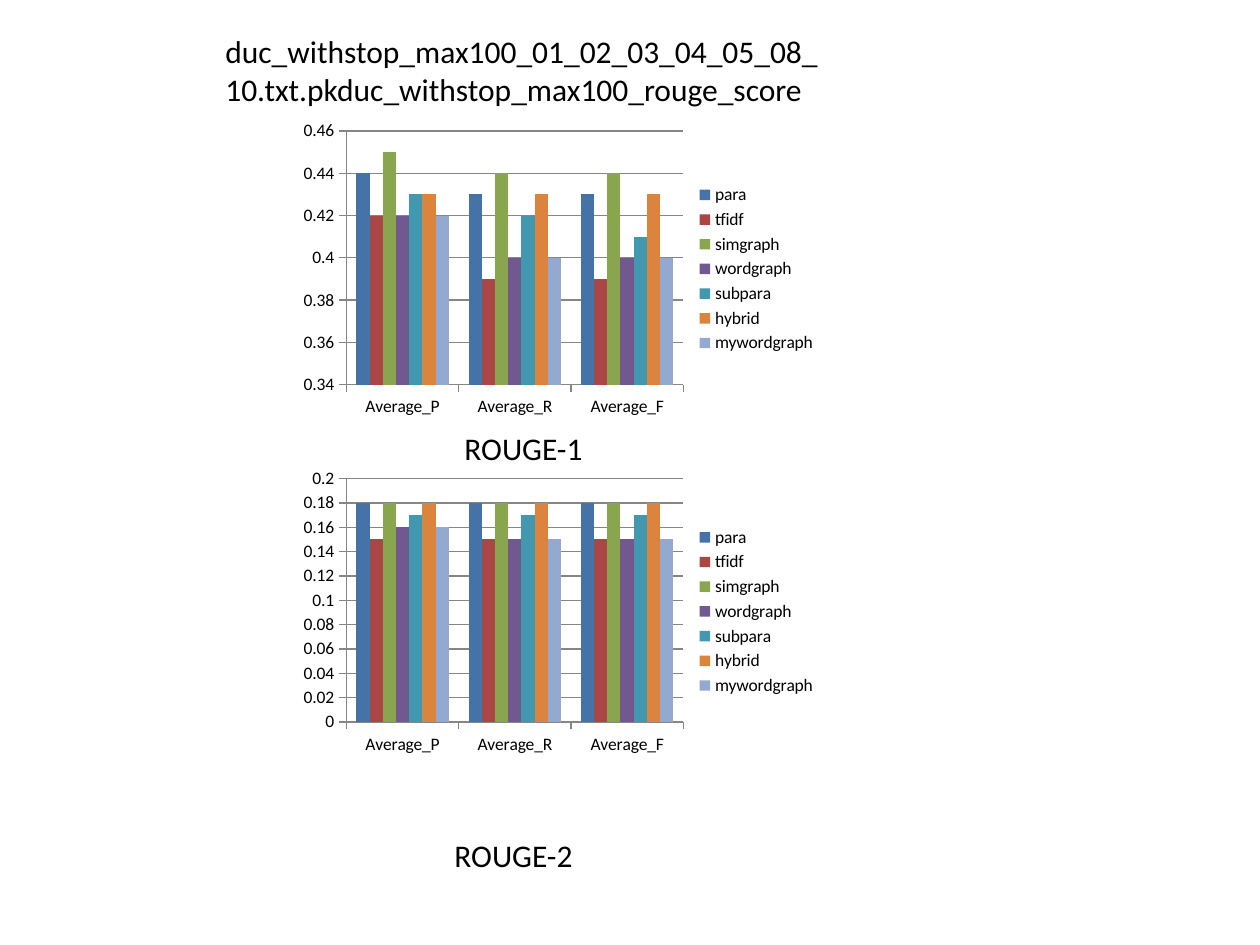
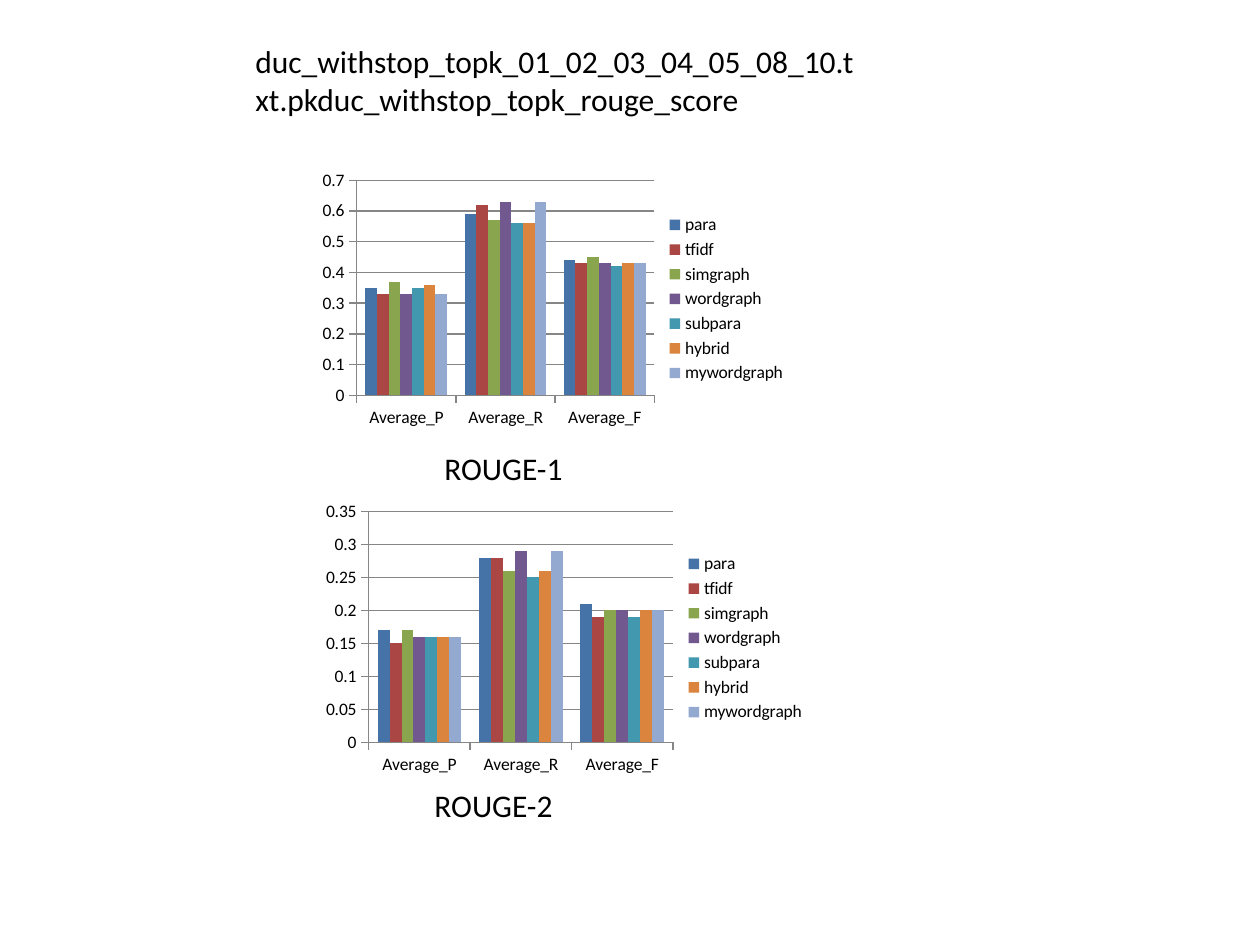
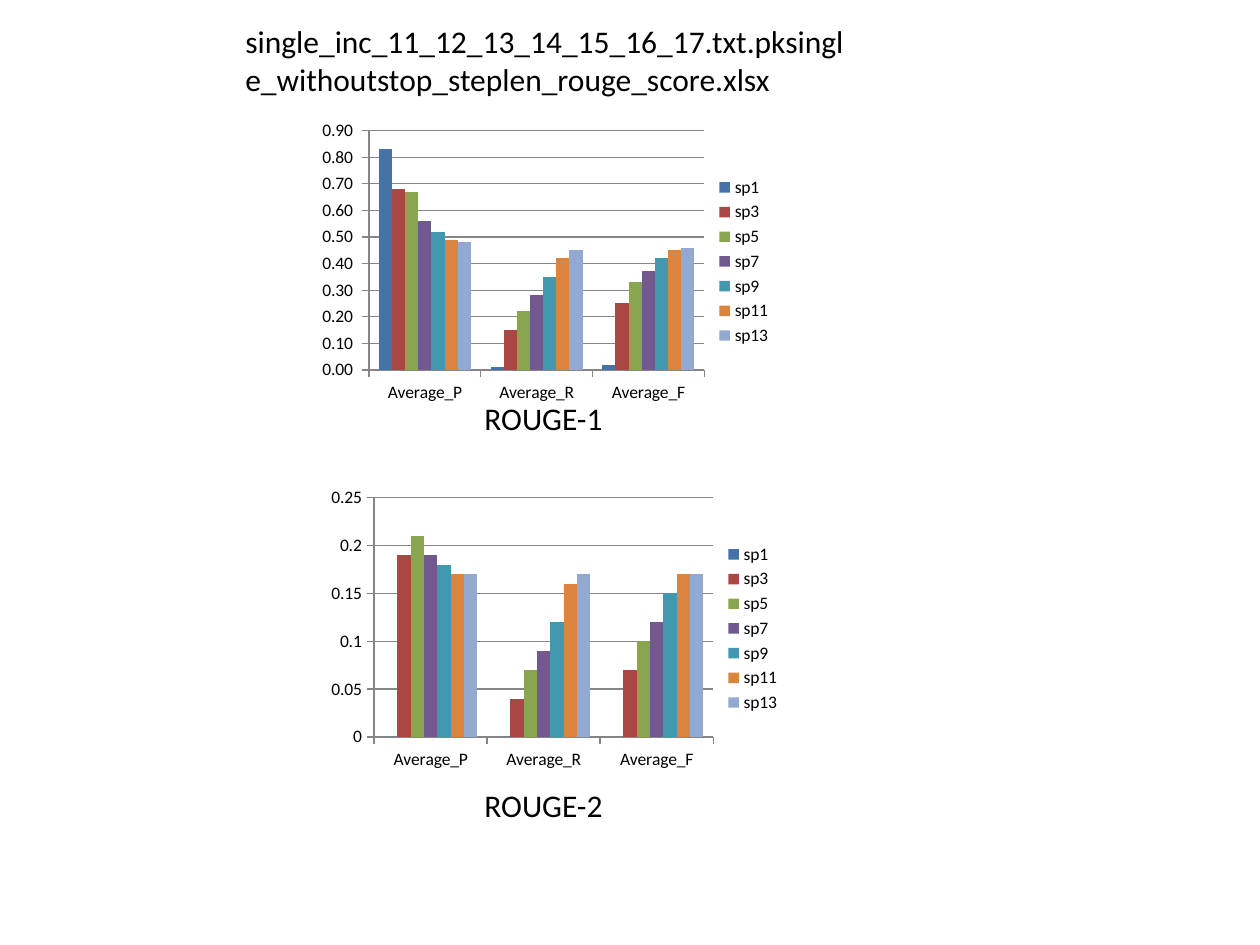
from pptx import Presentation
from pptx.chart.data import CategoryChartData
from pptx.dml.color import RGBColor
from pptx.enum.chart import XL_CHART_TYPE, XL_LEGEND_POSITION, XL_TICK_MARK
from pptx.enum.text import MSO_AUTO_SIZE
from pptx.util import Emu, Pt

EMU_PER_PX = 914400 // 126
BLANK_LAYOUT = 6
CLUSTERED = XL_CHART_TYPE.COLUMN_CLUSTERED
LEGEND_RIGHT = XL_LEGEND_POSITION.RIGHT
TICK_OUTSIDE = XL_TICK_MARK.OUTSIDE
GROW_SHAPE = MSO_AUTO_SIZE.SHAPE_TO_FIT_TEXT

FONT = "Calibri"
BLACK = "000000"
GRID_GREY = "868686"
SERIES_COLORS = ["4572A7", "AA4643", "89A54E", "71588F", "4198AF", "DB843D", "93A9CF"]

TITLE_SIZE = (630, 90)
CAPTION_SIZE = (145, 50)
CAPTIONS = ["ROUGE-1", "ROUGE-2"]
MEASURES = ["Average_P", "Average_R", "Average_F"]
METHODS = ["para", "tfidf", "simgraph", "wordgraph", "subpara", "hybrid", "mywordgraph"]
STEP_LENGTHS = [f"sp{length}" for length in range(1, 14, 2)]

# An axis is (minimum, maximum, step); each row of values belongs to one series.
SLIDES = [
    {
        "title": "duc_withstop_max100_01_02_03_04_05_08_10.txt.pkduc_withstop_max100_rouge_score",
        "title_at": (213, 26),
        "names": METHODS,
        "charts": [
            {
                "box": (293, 115, 536, 308), "caption_at": (452, 423),
                "axis": (0.34, 0.46, 0.02), "format": "General",
                "values": [(0.44, 0.43, 0.43), (0.42, 0.39, 0.39), (0.45, 0.44, 0.44),
                           (0.42, 0.4, 0.4), (0.43, 0.42, 0.41), (0.43, 0.43, 0.43),
                           (0.42, 0.4, 0.4)],
            },
            {
                "box": (293, 463, 536, 297), "caption_at": (442, 830),
                "axis": (0, 0.2, 0.02), "format": "General",
                "values": [(0.18, 0.18, 0.18), (0.15, 0.15, 0.15), (0.18, 0.18, 0.18),
                           (0.16, 0.15, 0.15), (0.17, 0.17, 0.17), (0.18, 0.18, 0.18),
                           (0.16, 0.15, 0.15)],
            },
        ],
    },
    {
        "title": "duc_withstop_topk_01_02_03_04_05_08_10.txt.pkduc_withstop_topk_rouge_score",
        "title_at": (243, 36),
        "names": METHODS,
        "charts": [
            {
                "box": (313, 165, 486, 268), "caption_at": (432, 443),
                "axis": (0, 0.7, 0.1), "format": "General",
                "values": [(0.35, 0.59, 0.44), (0.33, 0.62, 0.43), (0.37, 0.57, 0.45),
                           (0.33, 0.63, 0.43), (0.35, 0.56, 0.42), (0.36, 0.56, 0.43),
                           (0.33, 0.63, 0.43)],
            },
            {
                "box": (316, 496, 502, 284), "caption_at": (422, 780),
                "axis": (0, 0.35, 0.05), "format": "General",
                "values": [(0.17, 0.28, 0.21), (0.15, 0.28, 0.19), (0.17, 0.26, 0.2),
                           (0.16, 0.29, 0.2), (0.16, 0.25, 0.19), (0.16, 0.26, 0.2),
                           (0.16, 0.29, 0.2)],
            },
        ],
    },
    {
        "title": "single_inc_11_12_13_14_15_16_17.txt.pksingle_withoutstop_steplen_rouge_score.xlsx",
        "title_at": (233, 16),
        "names": STEP_LENGTHS,
        "charts": [
            {
                "box": (313, 115, 471, 293), "caption_at": (472, 393),
                "axis": (0, 0.9, 0.1), "format": "0.00_ ",
                "values": [(0.83, 0.01, 0.02), (0.68, 0.15, 0.25), (0.67, 0.22, 0.33),
                           (0.56, 0.28, 0.37), (0.52, 0.35, 0.42), (0.49, 0.42, 0.45),
                           (0.48, 0.45, 0.46)],
            },
            {
                "box": (322, 482, 471, 293), "caption_at": (472, 780),
                "axis": (0, 0.25, 0.05), "format": "General",
                "values": [(0, 0, 0), (0.19, 0.04, 0.07), (0.21, 0.07, 0.1),
                           (0.19, 0.09, 0.12), (0.18, 0.12, 0.15), (0.17, 0.16, 0.17),
                           (0.17, 0.17, 0.17)],
            },
        ],
    },
]


def px(*lengths):
    return [Emu(length * EMU_PER_PX) for length in lengths]


def color(hex_string):
    return RGBColor.from_string(hex_string)


def set_attributes(target, values):
    for name, value in values.items():
        setattr(target, name, value)


def style_font(font, size):
    set_attributes(font, {"name": FONT, "size": Pt(size)})
    font.color.rgb = color(BLACK)


def style_line(line):
    line.color.rgb = color(GRID_GREY)
    line.width = Pt(0.75)


def add_text(slide, text, position, size, wrap):
    frame = slide.shapes.add_textbox(*px(*position, *size)).text_frame
    set_attributes(frame, {"word_wrap": wrap, "auto_size": GROW_SHAPE})
    run = frame.paragraphs[0].add_run()
    run.text = text
    style_font(run.font, 18)


def add_score_chart(slide, names, settings):
    data = CategoryChartData(number_format=settings["format"])
    data.categories = MEASURES
    for name, scores in zip(names, settings["values"]):
        data.add_series(name, scores)

    chart = slide.shapes.add_chart(CLUSTERED, *px(*settings["box"]), data).chart
    set_attributes(chart, {"has_title": False, "has_legend": True})
    set_attributes(chart.legend, {"position": LEGEND_RIGHT, "include_in_layout": False})
    style_font(chart.font, 10)

    plot = chart.plots[0]
    set_attributes(plot, {"gap_width": 150, "overlap": 0, "vary_by_categories": False})
    for series, fill_color in zip(plot.series, SERIES_COLORS):
        series.format.fill.solid()
        series.format.fill.fore_color.rgb = color(fill_color)

    for axis in (chart.category_axis, chart.value_axis):
        axis.major_tick_mark = TICK_OUTSIDE
        style_line(axis.format.line)

    minimum, maximum, step = settings["axis"]
    set_attributes(chart.value_axis, {
        "minimum_scale": minimum, "maximum_scale": maximum,
        "major_unit": step, "has_major_gridlines": True,
    })
    set_attributes(chart.value_axis.tick_labels, {
        "number_format": settings["format"], "number_format_is_linked": False,
    })
    style_line(chart.value_axis.major_gridlines.format.line)


def add_score_slide(presentation, content):
    slide = presentation.slides.add_slide(presentation.slide_layouts[BLANK_LAYOUT])
    for settings in content["charts"]:
        add_score_chart(slide, content["names"], settings)
    for caption, settings in zip(CAPTIONS, content["charts"]):
        add_text(slide, caption, settings["caption_at"], CAPTION_SIZE, wrap=False)
    add_text(slide, content["title"], content["title_at"], TITLE_SIZE, wrap=True)


def main():
    presentation = Presentation()
    presentation.slide_width, presentation.slide_height = px(1260, 945)
    for content in SLIDES:
        add_score_slide(presentation, content)
    presentation.save("out.pptx")


if __name__ == "__main__":
    main()
